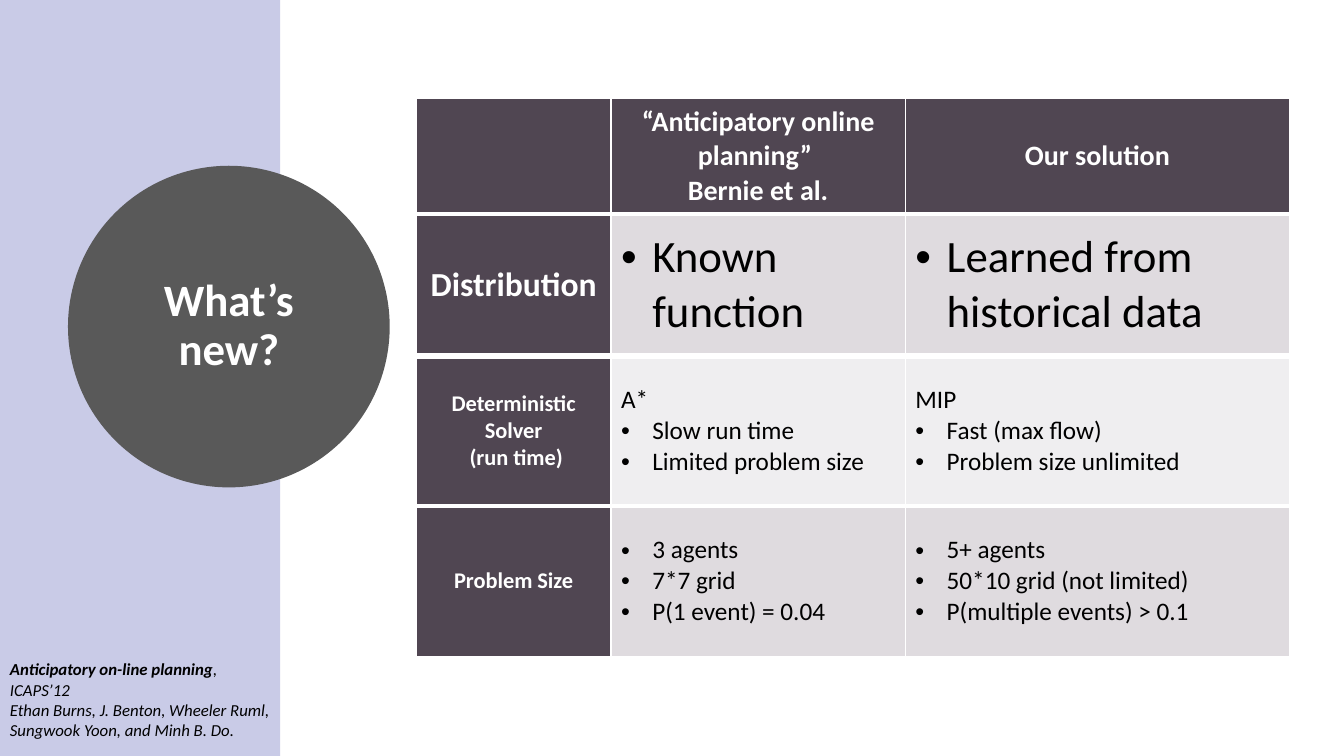
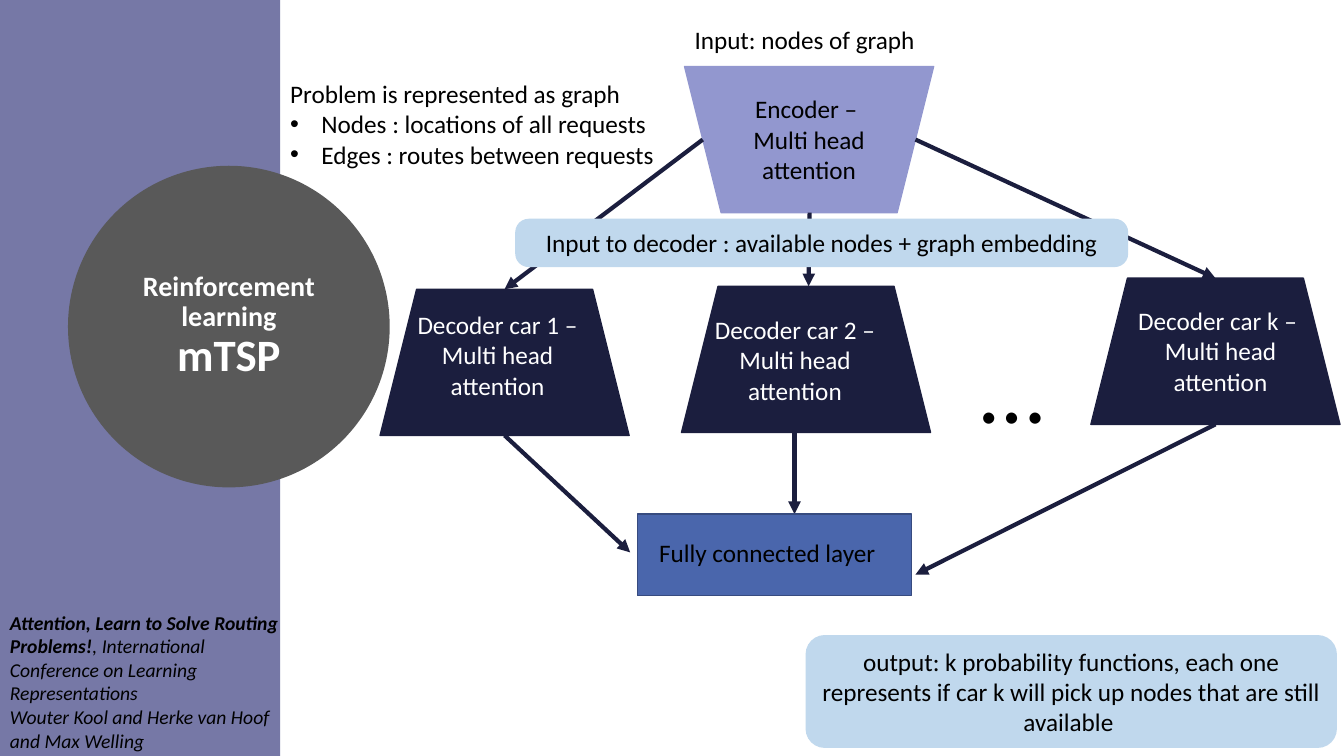
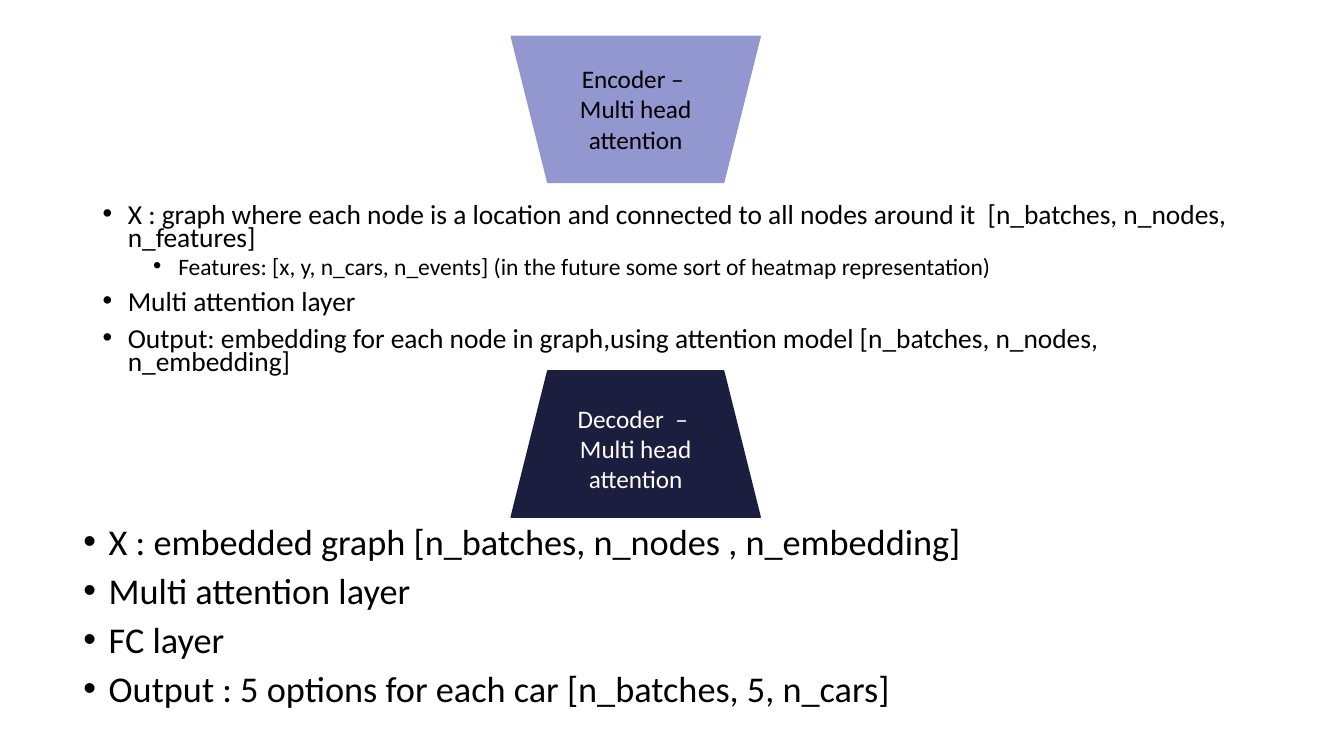
from dataclasses import dataclass

from lxml.etree import SubElement
from pptx import Presentation
from pptx.dml.color import RGBColor
from pptx.enum.shapes import MSO_CONNECTOR, MSO_SHAPE
from pptx.enum.text import MSO_ANCHOR, MSO_AUTO_SIZE, PP_ALIGN
from pptx.oxml import parse_xml
from pptx.oxml.ns import nsdecls, qn
from pptx.util import Inches, Pt

COLORS = {
    "white": "FFFFFF", "black": "000000", "circle": "595959",
    "lilac": "C9CBE7", "violet": "7678A6",
    "head": "504652", "band_dark": "DFDBDF", "band_light": "EFEEF0",
    "encoder": "9297CF", "decoder": "1B1E3E",
    "layer": "4A66AC", "layer_edge": "374B7F", "note": "C0D8ED",
}
FONT = "Calibri"
TITLE_ONLY, BLANK = 5, 6
BLOCK_W, BLOCK_H = 2.47, 1.45
LABEL_W, LABEL_H = 1.83, 1.01


@dataclass
class Line:
    """One paragraph: runs are (text, format) pairs or a plain string."""
    runs: object
    bullet: bool = False
    left: float = 0.31
    hang: float = 0.31
    before: float = 0
    size: float = 0


def rgb(name):
    return RGBColor.from_string(COLORS[name])


def bullets(*texts, **options):
    return [Line(text, bullet=True, **options) for text in texts]


def write(frame, lines, size=18, color="black", align=PP_ALIGN.LEFT,
          spacing=None, **base):
    """Fill a text frame with paragraphs."""
    frame.word_wrap = True
    for index, line in enumerate(lines):
        line = line if isinstance(line, Line) else Line(line)
        paragraph = frame.paragraphs[0] if index == 0 else frame.add_paragraph()
        if line.bullet:
            props = paragraph._p.get_or_add_pPr()
            props.set("marL", str(Inches(line.left)))
            props.set("indent", str(-Inches(line.hang)))
            SubElement(props, qn("a:buFont")).set("typeface", "Arial")
            SubElement(props, qn("a:buChar")).set("char", "•")
        layout = {"alignment": align, "line_spacing": spacing,
                  "space_before": Pt(line.before if index else 0)}
        for key, value in layout.items():
            setattr(paragraph, key, value)
        runs = [(line.runs, {})] if isinstance(line.runs, str) else line.runs
        for text, extra in runs:
            run = paragraph.add_run()
            run.text = text
            style = {"name": FONT, "size": Pt(line.size or size), **base, **extra}
            for key, value in style.items():
                setattr(run.font, key, value)
            run.font.color.rgb = rgb(color)


def add_text(slide, box, lines, **style):
    label = slide.shapes.add_textbox(*map(Inches, box))
    write(label.text_frame, lines, **style)


def add_form(slide, kind, box, fill, edge=None, edge_width=1):
    form = slide.shapes.add_shape(kind, *map(Inches, box))
    form.shadow.inherit = False
    form.fill.solid()
    form.fill.fore_color.rgb = rgb(fill)
    if edge:
        form.line.color.rgb = rgb(edge)
        form.line.width = Pt(edge_width)
    else:
        form.line.fill.background()
    return form


def add_note(slide, box, text, corner):
    note = add_form(slide, MSO_SHAPE.ROUNDED_RECTANGLE, box, "note")
    note.adjustments[0] = corner
    note.text_frame.vertical_anchor = MSO_ANCHOR.MIDDLE
    write(note.text_frame, [text], align=PP_ALIGN.CENTER)


def add_arrow(slide, start, end, source=None, target=None):
    arrow = slide.shapes.add_connector(
        MSO_CONNECTOR.STRAIGHT, *map(Inches, (*start, *end)))
    if source is not None:
        arrow.begin_connect(source, 2)
    if target is not None:
        arrow.end_connect(target, 0)
    arrow.line.color.rgb = rgb("decoder")
    arrow.line.width = Pt(3)
    SubElement(arrow.line._get_or_add_ln(), qn("a:tailEnd")).set("type", "triangle")
    SubElement(arrow._element.spPr, qn("a:effectLst"))


def add_block(slide, left, top, name, label_shift, encoder=False):
    """A trapezoid with its label; the encoder stands upside down."""
    fill = "encoder" if encoder else "decoder"
    block = add_form(slide, MSO_SHAPE.TRAPEZOID,
                     (left, top, BLOCK_W, BLOCK_H), fill, fill)
    block.rotation = 180 if encoder else 0
    shift_x, shift_y = label_shift
    add_text(slide, (left + shift_x, top + shift_y, LABEL_W, LABEL_H),
             [name, "Multi head attention"], align=PP_ALIGN.CENTER,
             color="black" if encoder else "white")
    return block


def add_side_panel(slide, fill, title_lines, citation_box, citation, citation_size):
    """Left band with the title circle and the cited paper."""
    add_form(slide, MSO_SHAPE.RECTANGLE, (0, 0, 2.78, 7.5), fill)
    add_form(slide, MSO_SHAPE.OVAL, (0.77, 1.74, 3, 3), "circle", "circle", 13.75)
    # Title, raised above the circle
    title = slide.shapes.title
    slide.shapes._spTree.append(title._element)
    place = {"left": 1.21, "top": 2.18, "width": 2.12, "height": 2.12}
    for key, value in place.items():
        setattr(title, key, Inches(value))
    title.text_frame.auto_size = MSO_AUTO_SIZE.NONE
    title.text_frame.vertical_anchor = MSO_ANCHOR.MIDDLE
    write(title.text_frame, title_lines, size=32, color="white", bold=True,
          align=PP_ALIGN.CENTER, spacing=0.9)
    # Citation
    paper, venue, authors = citation
    add_text(slide, citation_box, [Line([(paper, {"bold": True}), (venue, {})]),
                                   authors], size=citation_size, italic=True)


def border_cell(cell, top, bottom):
    props = cell._tc.get_or_add_tcPr()
    widths = {"lnL": 1, "lnR": 1, "lnT": top, "lnB": bottom}
    for index, (side, width) in enumerate(widths.items()):
        props.insert(index, parse_xml(
            f'<a:{side} {nsdecls("a")} w="{Pt(width)}"><a:solidFill>'
            f'<a:srgbClr val="{COLORS["white"]}"/></a:solidFill></a:{side}>'))


def add_comparison(slide, left, top):
    columns, heights = (1.93, 2.92, 3.81), (1.14, 1.41, 1.49, 1.49)
    rules = (1, 3, 4.5, 3, 1)
    head_sizes, body_sizes = (20, 24, 16, 16), (20, 32, 18, 18)
    fills = ("head", "band_dark", "band_light", "band_dark")
    rows = [
        [[], ["“Anticipatory online planning” ", "Bernie et al."], ["Our solution"]],
        [["Distribution"], bullets("Known function"),
         bullets("Learned from historical data")],
        [["Deterministic Solver", " (run time)"],
         ["A*", *bullets("Slow run time", "Limited problem size")],
         ["MIP", *bullets("Fast (max flow)", "Problem size unlimited")]],
        [["Problem Size"],
         bullets("3 agents", "7*7 grid", "P(1 event) = 0.04"),
         bullets("5+ agents", "50*10 grid (not limited)",
                 "P(multiple events) > 0.1")],
    ]
    table = slide.shapes.add_table(
        len(rows), len(columns),
        *map(Inches, (left, top, sum(columns), sum(heights)))).table
    for column, width in zip(table.columns, columns):
        column.width = Inches(width)
    for r, row in enumerate(rows):
        table.rows[r].height = Inches(heights[r])
        for c, lines in enumerate(row):
            cell = table.cell(r, c)
            heading = r == 0 or c == 0
            border_cell(cell, rules[r], rules[r + 1])
            cell.fill.solid()
            cell.fill.fore_color.rgb = rgb("head" if heading else fills[r])
            cell.vertical_anchor = MSO_ANCHOR.MIDDLE
            write(cell.text_frame, lines, bold=heading,
                  size=(head_sizes if heading else body_sizes)[r],
                  color="white" if heading else "black",
                  align=PP_ALIGN.CENTER if heading else PP_ALIGN.LEFT)


def add_network(slide):
    # Encoder and decoders
    encoder_x, encoder_y = 6.79, 0.66
    add_block(slide, encoder_x, encoder_y, "Encoder – ", (0.32, 0.22), encoder=True)
    car_1, car_2, car_k = [
        add_block(slide, left, top, f"Decoder car {car} – ", shift)
        for car, left, top, shift in (("1", 3.77, 2.87, (0.25, 0.15)),
                                      ("2", 6.76, 2.84, (0.21, 0.23)),
                                      ("k", 10.82, 2.76, (0.37, 0.22)))]
    add_text(slide, (9.63, 3.24, 0.96, 1.21), ["…"], size=66)
    # Arrows from the encoder, then to the connected layer
    side_y = encoder_y + BLOCK_H / 2
    add_arrow(slide, (encoder_x + 0.18, side_y), (5.01, 2.87), target=car_1)
    add_arrow(slide, (encoder_x + BLOCK_W - 0.18, side_y), (12.06, 2.76), target=car_k)
    add_arrow(slide, (8.03, encoder_y + BLOCK_H), (8.02, 2.84))
    add_arrow(slide, (5.01, 4.32), (6.25, 5.48), source=car_1)
    add_arrow(slide, (12.06, 4.21), (9.08, 5.7), source=car_k)
    add_arrow(slide, (7.88, 4.29), (7.88, 5.1))
    # Connected layer
    add_form(slide, MSO_SHAPE.RECTANGLE, (6.32, 5.1, 2.72, 0.81), "layer", "layer_edge")
    add_text(slide, (6.25, 5.28, 2.72, 0.4), ["Fully connected layer"],
             align=PP_ALIGN.CENTER)
    # Input and output notes
    add_text(slide, (encoder_x, 0.19, BLOCK_W, 0.4), ["Input: nodes of graph"])
    add_note(slide, (5.11, 2.17, 6.08, 0.48),
             "Input to decoder : available nodes + graph embedding", 0.28)
    add_note(slide, (7.99, 6.3, 5.27, 1.12),
             "output: k probability functions, each one represents if car k "
             "will pick up nodes that are still available ", 0.17)
    add_text(slide, (2.78, 0.73, 4.38, 1.01),
             ["Problem is represented as graph",
              *bullets("Nodes : locations of all requests",
                       "Edges : routes between requests")])


def build_comparison_slide(deck):
    slide = deck.slides.add_slide(deck.slide_layouts[TITLE_ONLY])
    add_comparison(slide, 4.13, 0.98)
    add_side_panel(slide, "lilac", ["What’s new?"], (0, 6.49, 2.78, 0.91),
                   ("Anticipatory on-line planning", ", ICAPS’12",
                    "Ethan Burns, J. Benton, Wheeler Ruml, Sungwook Yoon, "
                    "and Minh B. Do."), 12)


def build_network_slide(deck):
    slide = deck.slides.add_slide(deck.slide_layouts[TITLE_ONLY])
    add_side_panel(slide, "violet",
                   [Line("Reinforcement learning", size=20), "mTSP"],
                   (0, 6.01, 2.87, 1.51),
                   ("Attention, Learn to Solve Routing Problems!",
                    ", International Conference on Learning Representations",
                    "Wouter Kool and Herke van Hoof and Max Welling"), 14)
    add_network(slide)


def build_layers_slide(deck):
    slide = deck.slides.add_slide(deck.slide_layouts[BLANK])
    block_x = 5.07
    item = {"left": 0.25, "hang": 0.25, "before": 10}
    sub_item = {"left": 0.75, "hang": 0.25, "before": 5, "size": 16.8}
    # Encoder
    add_block(slide, block_x, 0.36, "Encoder – ", (0.32, 0.22), encoder=True)
    add_text(slide, (0.92, 2, 11.5, 1.95), [
        *bullets("X : graph where each node is a location and connected to all "
                 "nodes around it  [n_batches, n_nodes, n_features]", **item),
        *bullets("Features: [x, y, n_cars, n_events] (in the future some sort "
                 "of heatmap representation)", **sub_item),
        *bullets("Multi attention layer",
                 "Output: embedding for each node in graph,using attention model "
                 "[n_batches, n_nodes, n_embedding]", **item),
    ], size=19.6, spacing=0.7)
    # Decoder
    add_block(slide, block_x, 3.68, "Decoder  – ", (0.32, 0.27))
    add_text(slide, (0.73, 5.19, 11.5, 1.95), bullets(
        "X : embedded graph [n_batches, n_nodes , n_embedding]",
        "Multi attention layer", "FC layer",
        "Output : 5 options for each car [n_batches, 5, n_cars]", **item),
        size=25.9, spacing=0.8)


def main():
    deck = Presentation()
    deck.slide_width, deck.slide_height = Inches(13.33), Inches(7.5)
    for build in (build_comparison_slide, build_network_slide, build_layers_slide):
        build(deck)
    deck.save("out.pptx")


if __name__ == "__main__":
    main()
